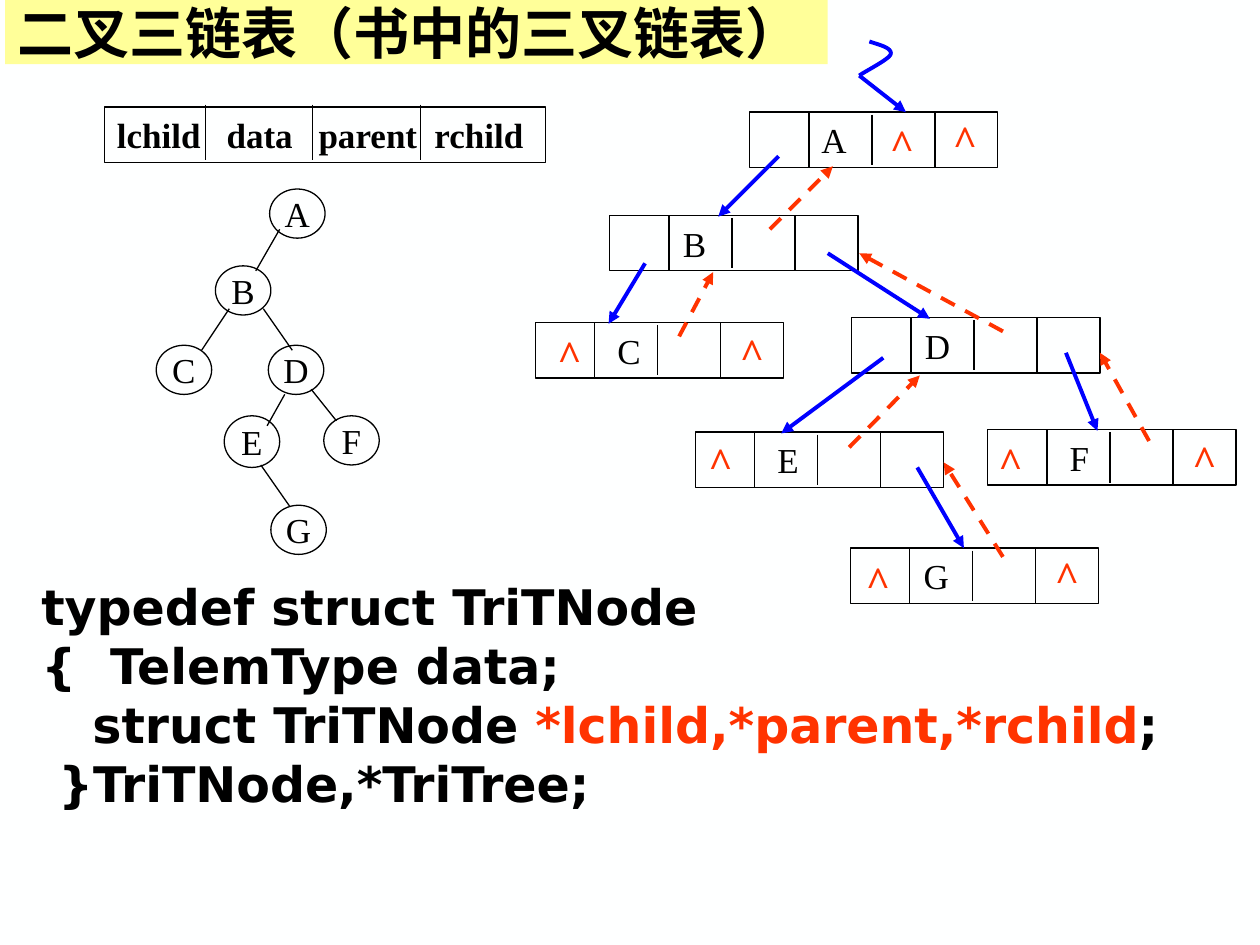
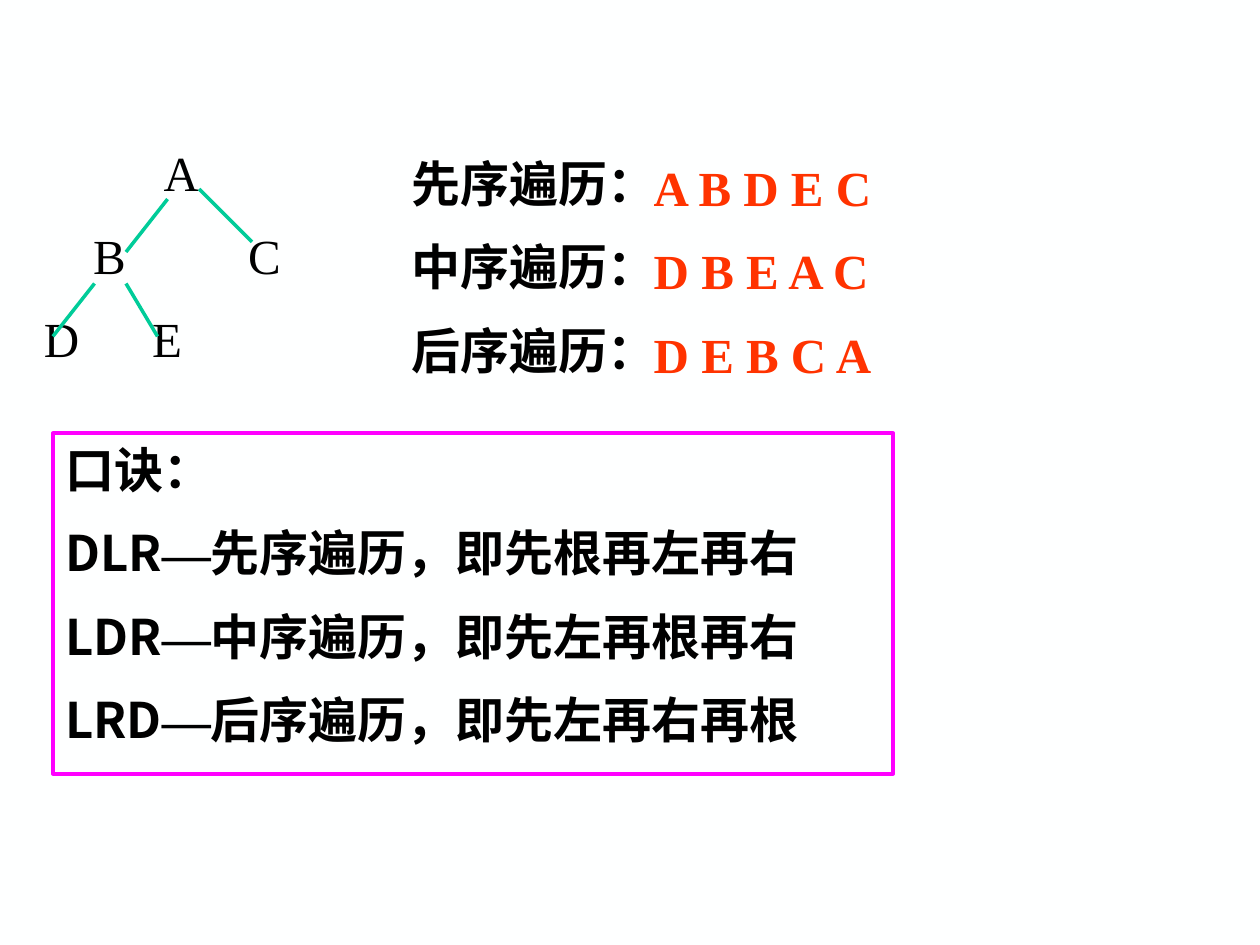
from lxml.etree import SubElement
from pptx import Presentation
from pptx.dml.color import RGBColor
from pptx.enum.dml import MSO_LINE
from pptx.enum.shapes import MSO_CONNECTOR, MSO_SHAPE
from pptx.enum.text import MSO_ANCHOR, PP_ALIGN
from pptx.oxml.ns import qn
from pptx.util import Inches, Pt

# Shared look
BACKGROUND, BLACK, RED, BLUE = "FEFFFF", "000000", "FF3300", "0000FF"
YELLOW, GREEN, MAGENTA = "FFFF99", "00CC99", "FF00FF"
SERIF, SANS, CHINESE = "Times New Roman", "DejaVu Sans", "Noto Sans CJK SC"
INSET = 0.1
BODY_SIZE, BODY_GAP = 28, 14

# The slide is a grid of 10 columns by 7.5 rows
WIDTH, HEIGHT = Inches(10), Inches(7.5)
COLUMN, ROW = WIDTH / 10, HEIGHT / 7.5

# Linked record: four cells; each divider has an offset and a gap at both ends
RECORD_WIDTH, RECORD_HEIGHT = 1.97, 0.44
DIVIDERS = ((0.47, 0), (0.97, 0.02), (1.47, 0))
CIRCLE_WIDTH, CIRCLE_HEIGHT = 0.44, 0.39


def grid(column, row):
    return round(column * COLUMN), round(row * ROW)


def color(value):
    return RGBColor.from_string(value)


def style_font(font, size=None, name=None, hue=None, bold=None):
    if size:
        font.size = Pt(size)
    if hue:
        font.color.rgb = color(hue)
    if bold is not None:
        font.bold = bold
    if name:
        font.name = name
        if name == CHINESE:
            SubElement(font._element, qn("a:ea"), typeface=name)


def set_tabs(paragraph, stops):
    tab_list = SubElement(paragraph._p.get_or_add_pPr(), qn("a:tabLst"))
    for stop in stops:
        SubElement(tab_list, qn("a:tab"), pos=str(round(stop * COLUMN)), algn="l")


def write(shape, lines, size, name=SERIF, hue=BLACK, bold=False, align=PP_ALIGN.LEFT,
          anchor=MSO_ANCHOR.TOP, wrap=True, before=0, tabs=(), left=INSET):
    """Each line is a string or a list of (text, own font settings)."""
    frame = shape.text_frame
    frame.word_wrap = wrap
    frame.vertical_anchor = anchor
    frame.margin_left = grid(left, 0)[0]
    for index, line in enumerate(lines):
        paragraph = frame.add_paragraph() if index else frame.paragraphs[0]
        paragraph.alignment = align
        if index and before:
            paragraph.space_before = Pt(before)
        if index < len(tabs):
            set_tabs(paragraph, tabs[index])
        style_font(paragraph.font, size, name, hue, bold)
        for text, settings in [(line, {})] if isinstance(line, str) else line:
            run = paragraph.add_run()
            run.text = text
            style_font(run.font, **settings)


def add_box(slide, left, top, width, height, kind=MSO_SHAPE.RECTANGLE,
            fill=None, line=None, weight=0.75):
    shape = slide.shapes.add_shape(kind, *grid(left, top), *grid(width, height))
    shape.shadow.inherit = False
    if fill:
        shape.fill.solid()
        shape.fill.fore_color.rgb = color(fill)
    else:
        shape.fill.background()
    if line:
        shape.line.color.rgb = color(line)
        shape.line.width = Pt(weight)
    else:
        shape.line.fill.background()
    return shape


def add_text(slide, left, top, width, height, lines, size, **settings):
    box = slide.shapes.add_textbox(*grid(left, top), *grid(width, height))
    write(box, lines, size, **settings)


def add_line(slide, start, end, hue=BLACK, weight=0.75, arrow=False, dashed=False):
    connector = slide.shapes.add_connector(MSO_CONNECTOR.STRAIGHT, *grid(*start), *grid(*end))
    connector.line.color.rgb = color(hue)
    connector.line.width = Pt(weight)
    if dashed:
        connector.line.dash_style = MSO_LINE.DASH
    if arrow:
        SubElement(connector.line._get_or_add_ln(), qn("a:tailEnd"), type="triangle")
    SubElement(connector._element.spPr, qn("a:effectLst"))


def add_circle(slide, letter, left, top, height=CIRCLE_HEIGHT):
    circle = add_box(slide, left, top, CIRCLE_WIDTH, height, MSO_SHAPE.OVAL, line=BLACK)
    write(circle, [letter], 20, align=PP_ALIGN.CENTER, anchor=MSO_ANCHOR.MIDDLE, wrap=False)


def add_record(slide, letter, left, top, indent):
    record = add_box(slide, left, top, RECORD_WIDTH, RECORD_HEIGHT, line=BLACK)
    write(record, [letter], 20, anchor=MSO_ANCHOR.MIDDLE, left=indent)
    for offset, gap in DIVIDERS:
        add_line(slide, (left + offset, top + gap), (left + offset, top + RECORD_HEIGHT - gap))


def bezier(points, steps=12):
    for step in range(1, steps + 1):
        t = step / steps
        weights = ((1 - t) ** 3, 3 * t * (1 - t) ** 2, 3 * t * t * (1 - t), t ** 3)
        yield grid(*(sum(w * p[axis] for w, p in zip(weights, points)) for axis in (0, 1)))


def add_root_curve(slide):
    start, middle, end = (6.9, 0.33), (7.07, 0.43), (6.82, 0.6)
    builder = slide.shapes.build_freeform(*grid(*start))
    for curve in ((start, (6.99, 0.36), (7.08, 0.38), middle),
                  (middle, (7.06, 0.47), (6.86, 0.57), end)):
        builder.add_line_segments(list(bezier(curve)), close=False)
    shape = builder.convert_to_shape()
    shape.shadow.inherit = False
    shape.fill.background()
    shape.line.color.rgb = color(BLUE)
    shape.line.width = Pt(2.25)
    add_line(slide, end, (7.19, 0.89), BLUE, 2.25, arrow=True)


def add_slide(presentation):
    slide = presentation.slides.add_slide(presentation.slide_layouts[6])
    slide.background.fill.solid()
    slide.background.fill.fore_color.rgb = color(BACKGROUND)
    return slide


def build_linked_list(slide):
    # Title band
    title = add_box(slide, 0.04, 0, 6.53, 0.51, fill=YELLOW)
    write(title, ["二叉三链表（书中的三叉链表）"], 32, CHINESE, bold=True, anchor=MSO_ANCHOR.MIDDLE)

    # Binary tree
    circles = {"A": (2.14, 1.5), "B": (1.71, 2.11), "C": (1.24, 2.74), "D": (2.13, 2.74),
               "E": (1.78, 3.3, 0.41), "F": (2.57, 3.3), "G": (2.15, 4.01)}
    for letter, place in circles.items():
        add_circle(slide, letter, *place)
    branches = [((2.22, 1.82), (2.03, 2.15)), ((1.82, 2.45), (1.6, 2.78)),
                ((2.09, 2.45), (2.32, 2.78)), ((2.26, 3.13), (2.12, 3.38)),
                ((2.47, 3.09), (2.67, 3.34)), ((2.07, 3.69), (2.3, 4.02))]
    for start, end in branches:
        add_line(slide, start, end)

    # Linked records
    records = {"A": (5.95, 0.89, 0.57), "B": (4.84, 1.71, 0.58), "C": (4.25, 2.56, 0.65),
               "D": (6.76, 2.52, 0.58), "E": (5.52, 3.43, 0.65), "F": (7.84, 3.41, 0.65),
               "G": (6.75, 4.35, 0.58)}
    for letter, place in records.items():
        add_record(slide, letter, *place)

    # Child pointers, then parent pointers
    children = [((6.18, 1.24), (5.7, 1.72)), ((5.12, 2.09), (4.83, 2.57)),
                ((7.01, 2.84), (6.2, 3.44)), ((6.57, 2.01), (7.38, 2.53)),
                ((8.46, 2.8), (8.71, 3.42)), ((7.28, 3.71), (7.65, 4.35))]
    parents = [((6.11, 1.82), (6.61, 1.32)), ((5.39, 2.67), (5.66, 2.16)),
               ((7.96, 2.63), (6.82, 2.01)), ((6.74, 3.55), (7.3, 2.98)),
               ((7.96, 4.42), (7.49, 3.67)), ((9.12, 3.5), (8.73, 2.8))]
    for pointers, hue, dashed in ((children, BLUE, False), (parents, RED, True)):
        for start, end in pointers:
            add_line(slide, start, end, hue, 2.25, arrow=True, dashed=dashed)
    add_root_curve(slide)

    # Null marks
    for left, top in ((6.96, 0.88), (7.46, 0.85), (4.32, 2.56), (5.77, 2.54), (5.52, 3.41),
                      (7.82, 3.41), (9.36, 3.39), (6.77, 4.35), (8.27, 4.31)):
        add_text(slide, left, top, 0.4, 0.5, ["^"], 24, hue=RED, bold=True,
                 align=PP_ALIGN.CENTER, anchor=MSO_ANCHOR.MIDDLE, wrap=False)

    # Field names of a record
    fields = add_box(slide, 0.83, 0.85, 3.5, 0.44, line=BLACK)
    write(fields, ["lchild\tdata\tparent\trchild"], 20, bold=True,
          anchor=MSO_ANCHOR.MIDDLE, tabs=[(0.87, 1.6, 2.52)])
    for column in (1.63, 2.48, 3.34):
        add_line(slide, (column, 0.83), (column, 1.27))

    # Type definition
    code = ["typedef struct TriTNode",
            "{  TelemType data;",
            [("   struct TriTNode ", {}), ("*lchild,*parent,*rchild", {"hue": RED}), (";", {})],
            " }TriTNode,*TriTree;"]
    add_text(slide, 0.23, 4.53, 9.33, 1.97, code, BODY_SIZE, name=SANS, bold=True)


def build_traversals(slide):
    # Names and results of the three orders
    orders = ["先序遍历", "中序遍历", "后序遍历"]
    add_text(slide, 3.17, 1.17, 2.23, 1.97, [f"{order}：" for order in orders], BODY_SIZE,
             bold=True, align=PP_ALIGN.JUSTIFY, before=BODY_GAP)
    add_text(slide, 5.09, 1.2, 2, 1.97, ["A B D E C", "D B E A C", "D E B C A"], BODY_SIZE,
             hue=RED, bold=True, before=BODY_GAP)

    # Example tree
    add_text(slide, 0.25, 1.08, 2.75, 1.97, ["\tA", "\tB\tC", "D\tE"], BODY_SIZE,
             before=BODY_GAP, tabs=[(0.95,), (0.39, 1.62), (0.86,)])
    for start, end in (((1.33, 1.58), (1, 2)), ((1.58, 1.5), (2, 1.92)),
                       ((1, 2.25), (1.25, 2.67)), ((0.75, 2.25), (0.42, 2.67))):
        add_line(slide, start, end, GREEN, 2)

    # Memory aid
    rules = zip(("DLR", "LDR", "LRD"), orders, ("先根再左再右", "先左再根再右", "先左再右再根"))
    lines = [[(code, {}), ("—", {"name": SERIF}), (f"{order}，即{steps}", {})]
             for code, order, steps in rules]
    aid = add_box(slide, 0.42, 3.44, 6.67, 2.7, line=MAGENTA, weight=2.25)
    write(aid, ["口诀："] + lines, BODY_SIZE, CHINESE, bold=True, before=BODY_GAP)


def main():
    presentation = Presentation()
    presentation.slide_width, presentation.slide_height = WIDTH, HEIGHT
    build_linked_list(add_slide(presentation))
    build_traversals(add_slide(presentation))
    presentation.save("out.pptx")


if __name__ == "__main__":
    main()
